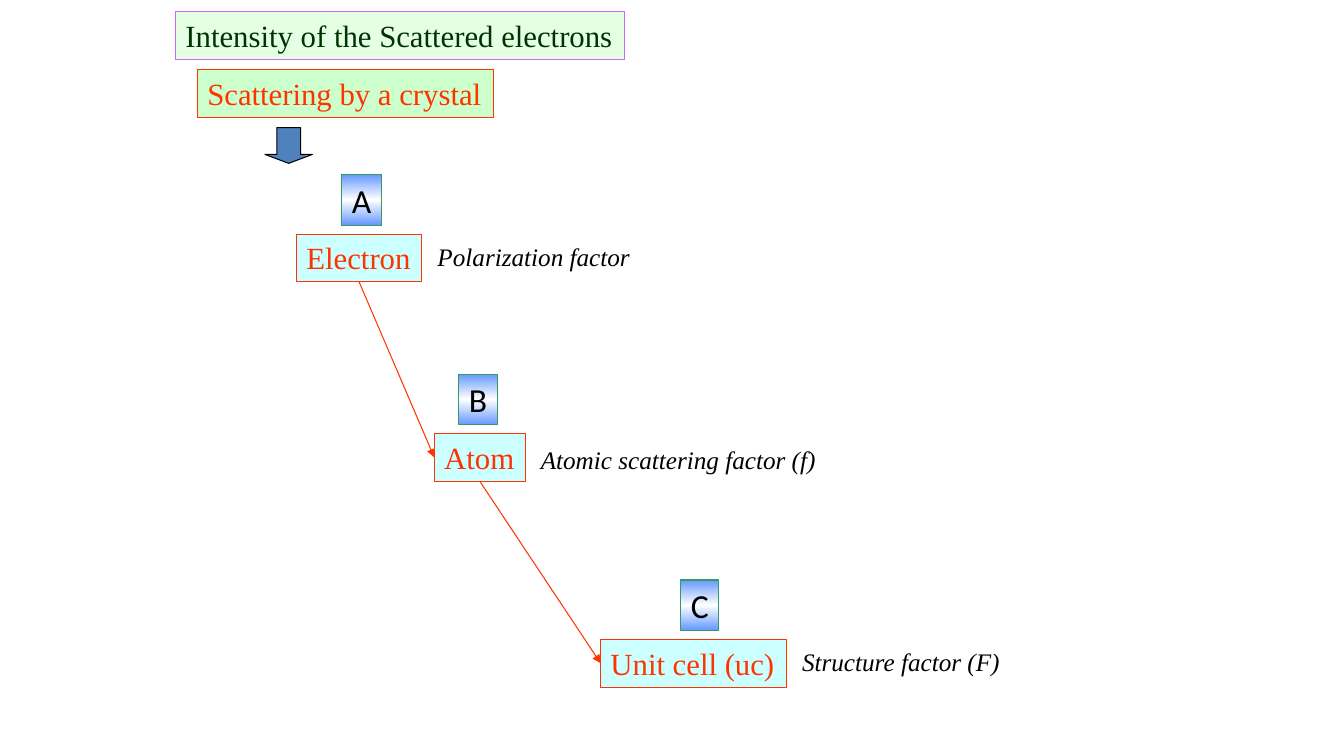
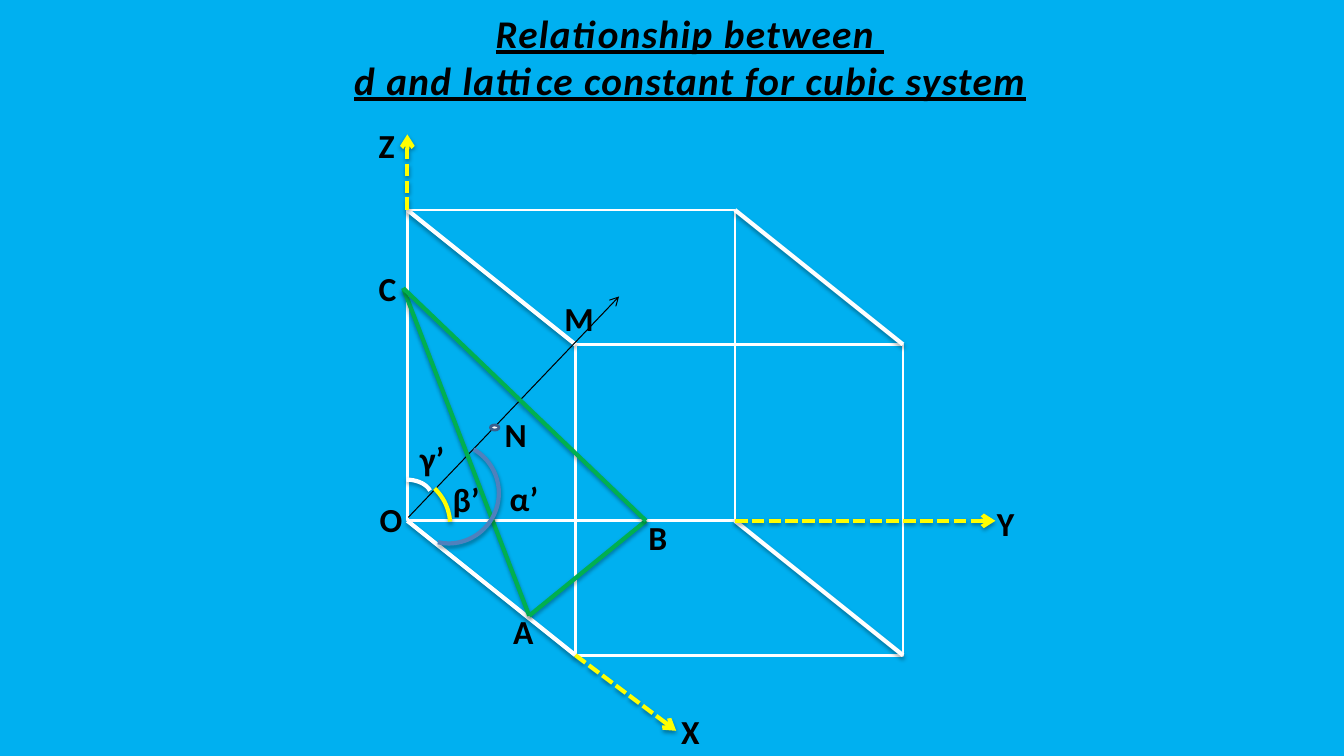
from dataclasses import dataclass

import pptx
import pptx.dml.color
import pptx.enum.dml
import pptx.enum.shapes
import pptx.enum.text
import pptx.oxml.ns
import pptx.util
from lxml import etree
from copy import deepcopy

RGB = pptx.dml.color.RGBColor
SHAPE = pptx.enum.shapes.MSO_SHAPE
ALIGN = pptx.enum.text.PP_ALIGN
Pt = pptx.util.Pt
qn = pptx.oxml.ns.qn

COLUMNS, ROWS = 160, 90  # grid cells of 1/12 inch
CELL = pptx.util.Inches(1) / 12

BLACK = RGB(0, 0, 0)
WHITE = RGB(255, 255, 255)
RED = RGB(0xFF, 0x33, 0x00)
DARK_GREEN = RGB(0x00, 0x33, 0x00)
MINT = RGB(0xE5, 0xFF, 0xE5)
LIGHT_GREEN = RGB(0xCC, 0xFF, 0xCC)
VIOLET = RGB(0xCC, 0x66, 0xFF)
CYAN = RGB(0xCC, 0xFF, 0xFF)
BLUE = RGB(0x4F, 0x81, 0xBD)
DARK_BLUE = RGB(0x3A, 0x5F, 0x8C)
BADGE_BLUE = RGB(0x66, 0x99, 0xFF)
BADGE_EDGE = RGB(0x33, 0x99, 0x66)
SKY = RGB(0x00, 0xB0, 0xF0)
YELLOW = RGB(0xFF, 0xFF, 0x00)
GREEN = RGB(0x00, 0xB0, 0x50)

SERIF, SANS = "Times New Roman", "Calibri"
BOX_HEIGHT, BADGE_HEIGHT, FACTOR_HEIGHT, LABEL_HEIGHT = 5.7, 6, 4.8, 6
BADGE_RISE = 7.05


@dataclass(frozen=True)
class Point:
    x: float
    y: float

    def moved(self, dx: float, dy: float) -> "Point":
        return Point(self.x + dx, self.y + dy)


@dataclass(frozen=True)
class Area:
    """Left, top, width and height in grid cells."""
    x: float
    y: float
    w: float
    h: float

    def emu(self) -> list[int]:
        return [cells(v) for v in (self.x, self.y, self.w, self.h)]


@dataclass(frozen=True)
class Stage:
    name: str
    box: Area
    badge: str
    badge_x: float
    badge_w: float
    factor: str
    factor_at: Area


@dataclass(frozen=True)
class Label:
    text: str
    x: float
    y: float
    w: float


@dataclass(frozen=True)
class AngleArc:
    area: Area
    rotation: float
    end: float
    color: RGB


STAGES = [
    Stage("Electron", Area(35.3, 27.85, 14.9, BOX_HEIGHT), "A", 40.65, 4.8,
          "Polarization factor", Area(50.9, 28.1, 25.3, FACTOR_HEIGHT)),
    Stage("Atom", Area(51.7, 51.6, 10.85, BOX_HEIGHT), "B", 54.6, 4.6,
          "Atomic scattering factor (f)", Area(63.2, 52.3, 35.2, FACTOR_HEIGHT)),
    Stage("Unit cell (uc)", Area(71.5, 76.1, 22.1, BOX_HEIGHT), "C", 81, 4.6,
          "Structure factor (F)", Area(94.3, 76.4, 26, FACTOR_HEIGHT)),
]

LABELS = [
    Label("X", 79.9, 84, 4.7), Label("Y", 117.5, 59.3, 4.6),
    Label("Z", 43.9, 14.3, 4.3), Label("O", 44, 58.8, 5.2),
    Label("M", 66, 34.9, 6), Label("N", 58.9, 48.7, 5),
    Label("A", 59.9, 72.1, 4.9), Label("B", 76, 61, 4.7),
    Label("C", 43.9, 31.3, 4.6), Label("α’", 59.5, 56.3, 5.9),
    Label("β’", 52.7, 56.4, 5.6), Label("γ’", 48.8, 51.6, 5.4),
]

ARC_START = 162
ARCS = [
    AngleArc(Area(45.4, 57.1, 6, 4), 0, 207.58, WHITE),
    AngleArc(Area(47.4, 52.7, 12, 12), 30, 43.37, BLUE),
    AngleArc(Area(41.6, 56.5, 12, 12), 43.6, 187.59, YELLOW),
]


def cells(n: float) -> int:
    return round(n * CELL)


def add_slide(prs, background: RGB):
    s = prs.slides.add_slide(prs.slide_layouts[6])
    s.background.fill.solid()
    s.background.fill.fore_color.rgb = background
    return s


def set_line(shape, color: RGB, width: float) -> None:
    shape.line.color.rgb = color
    shape.line.width = Pt(width)


def set_effects(shape, shadow: bool) -> None:
    """Replace the theme effects by a soft shadow below, or by nothing."""
    sp_pr = shape.element.spPr
    effects = sp_pr.find(qn("a:effectLst"))
    if effects is None:
        effects = etree.SubElement(sp_pr, qn("a:effectLst"))
    if shadow:
        outer = etree.SubElement(effects, qn("a:outerShdw"), blurRad=str(Pt(3.1)),
                                 dist=str(Pt(1.8)), dir="5400000", rotWithShape="0")
        color = etree.SubElement(outer, qn("a:srgbClr"), val="000000")
        etree.SubElement(color, qn("a:alpha"), val="35000")


def add_preset(s, kind: SHAPE, area: Area, fill: RGB | None, line: RGB, width: float):
    sp = s.shapes.add_shape(kind, *area.emu())
    sp.shadow.inherit = False
    if fill is None:
        sp.fill.background()
    else:
        sp.fill.solid()
        sp.fill.fore_color.rgb = fill
    set_line(sp, line, width)
    return sp


def write(sp, text: str, font: str, size: float, color: RGB = BLACK, bold: bool = False,
          italic: bool = False, align: ALIGN = ALIGN.LEFT):
    tf = sp.text_frame
    tf.text = text
    tf.word_wrap = False
    tf.auto_size = pptx.enum.text.MSO_AUTO_SIZE.SHAPE_TO_FIT_TEXT
    tf.vertical_anchor = pptx.enum.text.MSO_ANCHOR.TOP
    for p in tf.paragraphs:
        p.alignment = align
        for r in p.runs:
            r.font.name, r.font.size = font, Pt(size)
            r.font.bold, r.font.italic = bold, italic
            r.font.color.rgb = color
    return tf


def add_text(s, area: Area, text: str, font: str, size: float, **style):
    return write(s.shapes.add_textbox(*area.emu()), text, font, size, **style)


def add_box(s, area: Area, text: str, fill: RGB, line: RGB = RED, color: RGB = RED):
    sp = add_preset(s, SHAPE.RECTANGLE, area, fill, line, 0.5)
    write(sp, text, SERIF, 22, color)
    return sp


def add_badge(s, area: Area, letter: str) -> None:
    sp = add_preset(s, SHAPE.RECTANGLE, area, WHITE, BADGE_EDGE, 0.75)
    sp.fill.gradient()
    sp.fill.gradient_angle = 90
    stop_list = sp.element.xpath(".//a:gsLst")[0]
    stop_list.append(deepcopy(stop_list[0]))
    colors = (BADGE_BLUE, WHITE, BADGE_BLUE)
    for i, (stop, color) in enumerate(zip(sp.fill.gradient_stops, colors)):
        stop.position = i / 2
        stop.color.rgb = color
    tf = write(sp, letter, SANS, 24, align=ALIGN.CENTER)
    tf.vertical_anchor = pptx.enum.text.MSO_ANCHOR.MIDDLE


def add_line(s, start: Point, end: Point, color: RGB, width: float = 3,
             arrow: str = "", dashed: bool = False, shadow: bool = True):
    line = s.shapes.add_connector(pptx.enum.shapes.MSO_CONNECTOR.STRAIGHT,
                                  cells(start.x), cells(start.y), cells(end.x), cells(end.y))
    set_line(line, color, width)
    if dashed:
        line.line.dash_style = pptx.enum.dml.MSO_LINE.SQUARE_DOT
    if arrow:
        etree.SubElement(line.element.spPr.find(qn("a:ln")), qn("a:tailEnd"), type=arrow)
    set_effects(line, shadow)
    return line


def build_scattering(prs) -> None:
    s = add_slide(prs, WHITE)
    add_box(s, Area(20.9, 1.4, 53.4, BOX_HEIGHT), "Intensity of the Scattered electrons",
            MINT, VIOLET, DARK_GREEN)
    add_box(s, Area(23.5, 8.25, 35.2, BOX_HEIGHT), "Scattering by a crystal", LIGHT_GREEN)
    arrow = add_preset(s, SHAPE.DOWN_ARROW, Area(31.55, 15.2, 5.65, 4.25), BLUE, BLACK, 0.75)
    arrow.adjustments[1] = 0.25

    boxes = []
    for stage in STAGES:
        boxes.append(add_box(s, stage.box, stage.name, CYAN))
        add_badge(s, Area(stage.badge_x, stage.box.y - BADGE_RISE, stage.badge_w, BADGE_HEIGHT),
                  stage.badge)
        add_text(s, stage.factor_at, stage.factor, SERIF, 18, italic=True)
    for upper, lower in zip(boxes, boxes[1:]):
        link = add_line(s, Point(0, 0), Point(1, 1), RED, 0.75, "triangle", shadow=False)
        link.begin_connect(upper, 2)
        link.end_connect(lower, 1)


def build_cubic_system(prs) -> None:
    s = add_slide(prs, SKY)
    tf = add_text(s, Area(40.4, 0.5, 83.5, 12.5),
                  "Relationship between \nd and lattice constant for cubic system",
                  SANS, 28, bold=True, italic=True, align=ALIGN.CENTER)
    for p in tf.paragraphs:
        for r in p.runs:
            r.font.underline = True
            r.font.element.set("spc", "100") if hasattr(r.font, "element") else \
                r._r.get_or_add_rPr().set("spc", "100")

    origin, width, height, depth = Point(48.5, 62), 39, 37, (20, 16)
    top = origin.moved(0, -height)
    right = origin.moved(width, 0)
    front = origin.moved(*depth)
    for corner in (top, top.moved(*depth)):
        add_preset(s, SHAPE.RECTANGLE, Area(corner.x, corner.y, width, height), None, WHITE, 2)
    for corner in (top, top.moved(width, 0), origin, right):
        add_line(s, corner, corner.moved(*depth), WHITE)

    for start, reach in ((front, (12, 9)), (top, (0, -9)), (right, (31, 0))):
        add_line(s, start, start.moved(*reach), YELLOW, arrow="arrow", dashed=True)
    add_line(s, Point(48.6, 61.6), Point(73.7, 35.3), BLACK, 0.75, "arrow", shadow=False)
    add_preset(s, SHAPE.OVAL, Area(58.4, 50.6, 1, 0.6), WHITE, DARK_BLUE, 2)

    a, b, c = Point(63, 73.3), Point(76.9, 62), Point(48, 34.3)
    for start, end in ((c, a), (a, b), (c, b)):
        add_line(s, start, end, GREEN)
    for arc in ARCS:
        sp = add_preset(s, SHAPE.ARC, arc.area, None, arc.color, 3)
        sp.rotation = arc.rotation
        sp.adjustments[0], sp.adjustments[1] = ARC_START, arc.end
        set_effects(sp, True)
    for label in LABELS:
        add_text(s, Area(label.x, label.y, label.w, LABEL_HEIGHT), label.text, SANS, 24, bold=True)


def main() -> None:
    prs = pptx.Presentation()
    prs.slide_width, prs.slide_height = cells(COLUMNS), cells(ROWS)
    build_scattering(prs)
    build_cubic_system(prs)
    prs.save("out.pptx")


if __name__ == "__main__":
    main()
